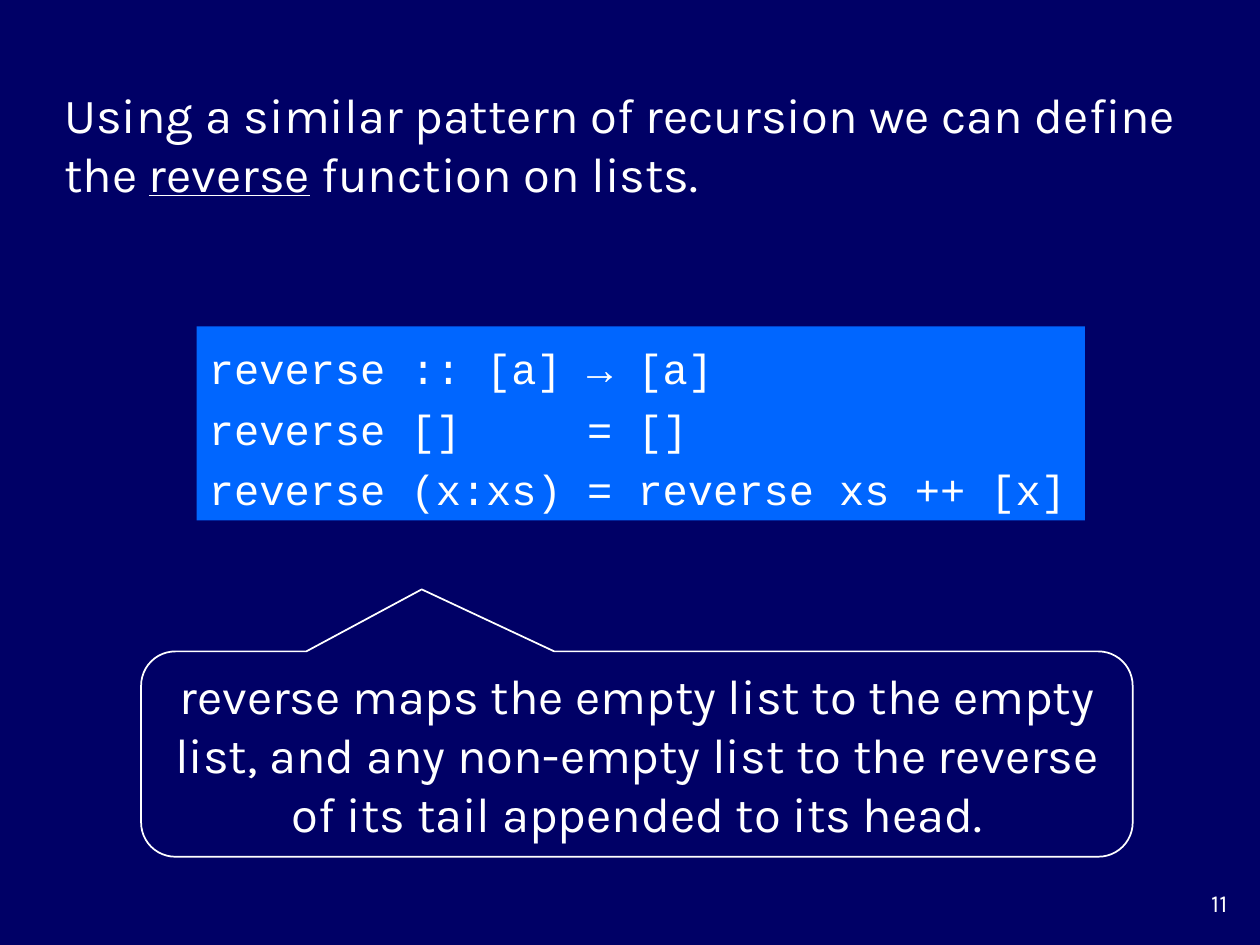
from dataclasses import dataclass

from pptx import Presentation
from pptx.dml.color import RGBColor
from pptx.enum.shapes import MSO_SHAPE
from pptx.enum.text import MSO_ANCHOR, MSO_AUTO_SIZE, PP_ALIGN
from pptx.shapes.autoshape import Shape
from pptx.util import Inches, Pt

NAVY = RGBColor(0x00, 0x00, 0x66)
BLUE = RGBColor(0x00, 0x66, 0xFF)
WHITE = RGBColor(0xFF, 0xFF, 0xFF)


@dataclass(frozen=True)
class Box:
    """Position and size in inches."""

    left: float
    top: float
    width: float
    height: float

    def lengths(self) -> tuple:
        """Return the four values as slide lengths."""
        return tuple(Inches(value) for value in (self.left, self.top, self.width, self.height))


TITLE_BOX = Box(0.41, 0.62, 9.04, 1.03)
CODE_BOX = Box(1.56, 2.59, 7.05, 1.54)
CALLOUT_BOX = Box(1.12, 5.17, 7.87, 1.63)
NUMBER_BOX = Box(9.17, 7, 0.67, 0.33)

TITLE = "Using a similar pattern of recursion we can define the _reverse_ function on lists."
CODE = "reverse :: [a] → [a]\nreverse []     = []\nreverse (x:xs) = reverse xs ++ [x]"
EXPLANATION = (
    "reverse maps the empty list to the empty list, and any non-empty list "
    "to the reverse of its tail appended to its head."
)


def write_text(
    shape: Shape,
    text: str,
    *,
    font: str = "Karla",
    size: float = 28,
    align: PP_ALIGN = PP_ALIGN.LEFT,
    anchor: MSO_ANCHOR = MSO_ANCHOR.MIDDLE,
    auto_size: MSO_AUTO_SIZE = MSO_AUTO_SIZE.SHAPE_TO_FIT_TEXT,
    wrap: bool = True,
    line_spacing: float = 1.0,
) -> None:
    """Write one paragraph per line, underlining parts between underscores."""
    frame = shape.text_frame
    frame.word_wrap = wrap
    frame.auto_size = auto_size
    frame.vertical_anchor = anchor
    for index, line in enumerate(text.split("\n")):
        paragraph = frame.paragraphs[0] if index == 0 else frame.add_paragraph()
        paragraph.alignment = align
        paragraph.line_spacing = line_spacing
        for position, part in enumerate(line.split("_")):
            run = paragraph.add_run()
            run.text = part
            run.font.name = font
            run.font.size = Pt(size)
            run.font.color.rgb = WHITE
            if position % 2:
                run.font.underline = True


def add_panel(slide, kind: MSO_SHAPE, box: Box) -> Shape:
    """Add a preset shape with no shadow, fill or line."""
    shape = slide.shapes.add_shape(kind, *box.lengths())
    shape.shadow.inherit = False
    shape.fill.background()
    shape.line.fill.background()
    return shape


def build_slide() -> None:
    """Build and save the slide on the reverse function."""
    presentation = Presentation()
    presentation.slide_width = Inches(10)
    presentation.slide_height = Inches(7.5)
    slide = presentation.slides.add_slide(presentation.slide_layouts[5])
    slide.background.fill.solid()
    slide.background.fill.fore_color.rgb = NAVY

    title = slide.shapes.title
    title.left, title.top, title.width, title.height = TITLE_BOX.lengths()
    write_text(title, TITLE)

    code = add_panel(slide, MSO_SHAPE.RECTANGLE, CODE_BOX)
    code.fill.solid()
    code.fill.fore_color.rgb = BLUE
    write_text(code, CODE, font="Courier New", size=24, wrap=False, line_spacing=1.2)

    callout = add_panel(slide, MSO_SHAPE.ROUNDED_RECTANGULAR_CALLOUT, CALLOUT_BOX)
    for index, value in enumerate((-0.217, -0.802, 0.167)):
        callout.adjustments[index] = value
    callout.line.color.rgb = WHITE
    callout.line.width = Pt(1)
    write_text(callout, EXPLANATION, align=PP_ALIGN.CENTER)

    number = slide.shapes.add_textbox(*NUMBER_BOX.lengths())
    write_text(
        number, "11", size=14, align=PP_ALIGN.RIGHT,
        anchor=MSO_ANCHOR.TOP, auto_size=MSO_AUTO_SIZE.NONE,
    )

    presentation.save("out.pptx")


build_slide()
